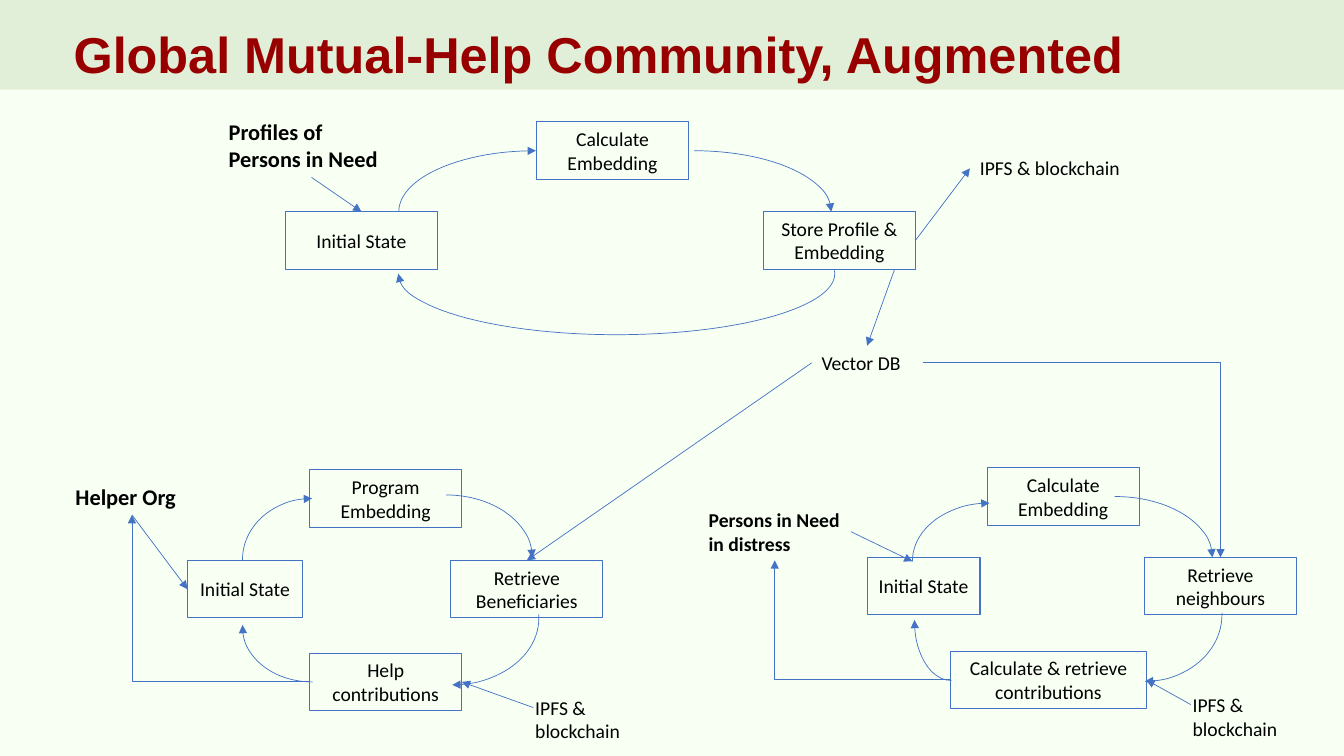
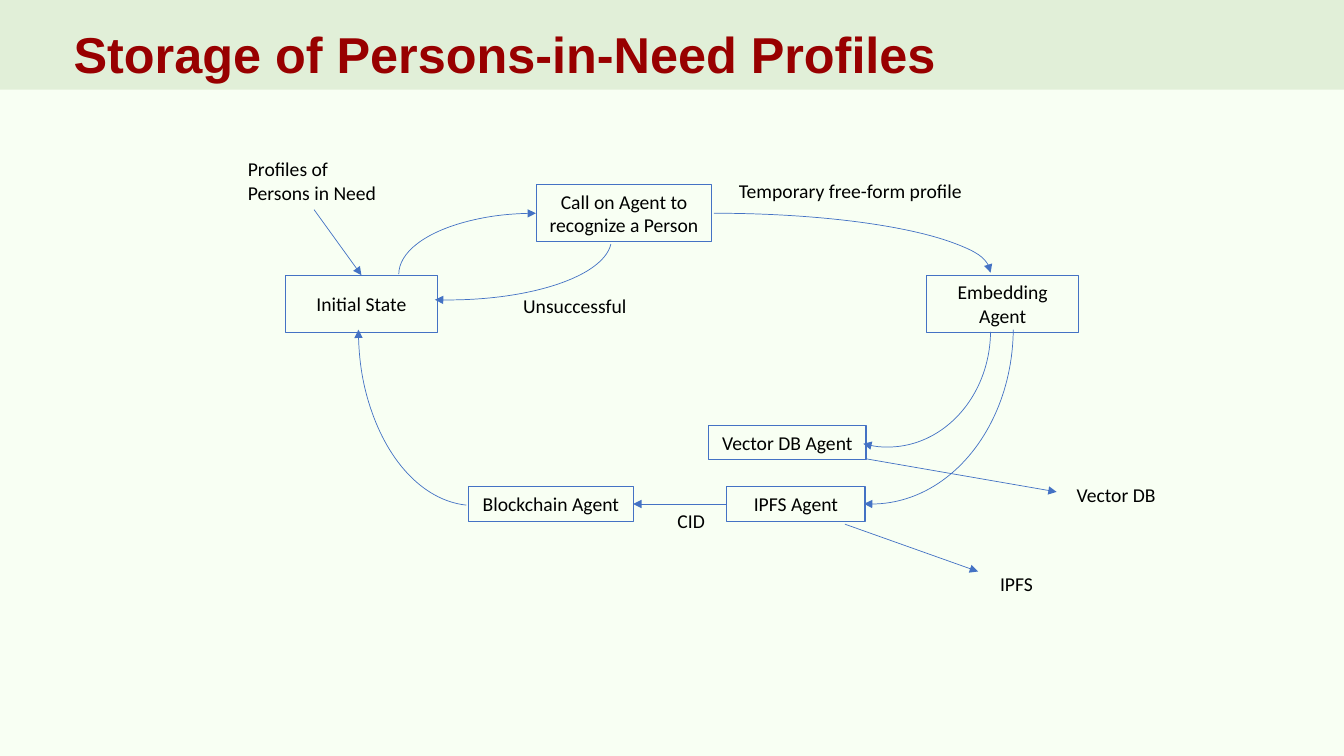
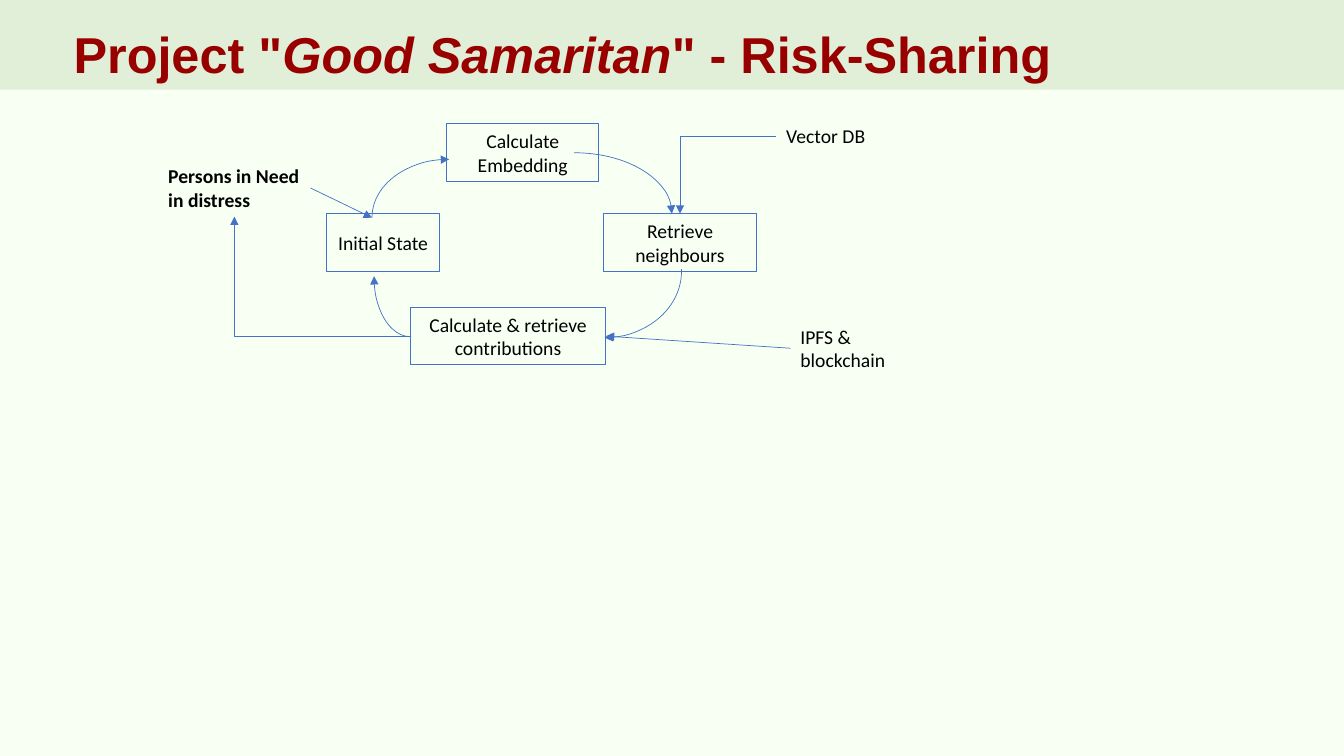
from dataclasses import dataclass
from lxml import etree
from pptx import Presentation
from pptx.dml.color import RGBColor
from pptx.enum import shapes, text
from pptx.oxml import ns
from pptx.util import Inches, Pt


@dataclass(frozen=True)
class Theme:
    page: RGBColor = RGBColor.from_string("F8FFF3")
    band: RGBColor = RGBColor.from_string("E1EFD8")
    title: RGBColor = RGBColor.from_string("980000")
    ink: RGBColor = RGBColor.from_string("000000")
    line: RGBColor = RGBColor.from_string("4472C4")
    big: float = 36
    lead: float = 16
    body: float = 14
    edge: float = 0.75
    thin: float = 0.5


theme = Theme()
TOP, LEFT, BOTTOM, RIGHT = range(4)
SPOTS = [(0.5, 0), (0, 0.5), (0.5, 1), (1, 0.5)]
HEAD = dict(name="Arial", size=Pt(theme.big), bold=True)
BODY = dict(name="Calibri", size=Pt(theme.body), bold=False)
FONTS = {
    "box": BODY,
    "note": BODY,
    "bold": BODY | dict(bold=True),
    "lead": BODY | dict(bold=True, size=Pt(theme.lead)),
}
FRAME = dict(
    vertical_anchor=text.MSO_ANCHOR.BOTTOM,
    margin_left=Inches(0.07),
    margin_right=Inches(0.07),
    margin_top=Inches(0.04),
    margin_bottom=Inches(0.04),
)


def style(item, color, values):
    for key, value in values.items():
        setattr(item, key, value)
    item.color.rgb = color


def stroke(item, width, end=None):
    style(item.line, theme.line, dict(width=Pt(width)))
    props = item._element.spPr
    if end:
        etree.SubElement(props.find(ns.qn("a:ln")), ns.qn(f"a:{end}End"), type="triangle")
    etree.SubElement(props, ns.qn("a:effectLst"))


distress = dict(
    nodes=[
        ("person", "bold", "Persons in Need in distress", 6.93, 4.99, 1.51, 0.57),
        ("start", "box", "Initial State", 8.6, 5.53, 1.12, 0.57),
        ("embed", "box", "Calculate Embedding", 9.79, 4.64, 1.51, 0.57),
        ("near", "box", "Retrieve neighbours", 11.35, 5.53, 1.51, 0.57),
        ("share", "box", "Calculate & retrieve contributions", 9.43, 6.46, 1.94, 0.57),
    ],
    arcs=[
        (9.24, 4.8, 1.15, 1.53, 270, "", 269.66, 0),
        (10.45, 4.56, 1.21, 1.94, 90, "H", 270, 0),
        (10.69, 5.33, 1.32, 1.54, 90, "H", 180.57, 271.45),
        (8.84, 5.8, 1.18, 0.72, 270, "", 179.36, 271.69),
    ],
    lines=[(("person", RIGHT), (9.05, 5.57))],
    bends=[(("share", LEFT), ("person", BOTTOM))],
)

support = dict(
    nodes=[
        ("need", "lead", "Profiles of Persons in Need", 2.17, 1.12, 1.84, 0.64),
        ("first", "box", "Initial State", 2.83, 2.1, 1.51, 0.57),
        ("calc", "box", "Calculate Embedding", 5.32, 1.21, 1.51, 0.57),
        ("store", "box", "Store Profile & Embedding", 7.57, 2.1, 1.51, 0.57),
        ("chain", "note", "IPFS & blockchain", 9.62, 1.5, 1.8, 0.34),
        ("vector", "note", "Vector DB", 8.05, 3.43, 1.1, 0.34),
        ("source", "note", "IPFS & blockchain", 11.73, 6.83, 1.09, 0.57),
        ("helper", "lead", "Helper Org", 0.65, 4.74, 1.32, 0.37),
        ("begin", "box", "Initial State", 1.86, 5.56, 1.14, 0.57),
        ("program", "box", "Program Embedding", 3.07, 4.66, 1.51, 0.57),
        ("gain", "box", "Retrieve Beneficiaries", 4.47, 5.56, 1.51, 0.57),
        ("help", "box", "Help contributions", 3.07, 6.48, 1.51, 0.57),
        ("ledger", "note", "IPFS & blockchain", 5.21, 6.85, 1.09, 0.57),
    ],
    arcs=[
        (4.71, 0.74, 1.21, 2.72, 270, "", 270, 0),
        (6.28, 0.74, 1.21, 2.72, 90, "H", 270, 0),
        (5.51, 0.55, 1.21, 4.33, 90, "V", 270, 90.88),
        (2.49, 4.86, 1.21, 1.38, 270, "", 269.66, 0),
        (3.8, 4.68, 1.25, 1.71, 90, "H", 270, 0),
        (3.82, 5.27, 1.32, 1.73, 90, "H", 180.57, 272.67),
        (2.55, 5.53, 1.09, 1.38, 270, "", 179.36, 271.69),
    ],
    lines=[
        (("need", BOTTOM), ("first", TOP)),
        (("store", RIGHT), ("chain", LEFT)),
        ((8.87, 2.68), ("vector", TOP)),
        ((11.81, 6.99), ("share", RIGHT)),
        (("helper", BOTTOM), ("begin", LEFT)),
        ((5.29, 7.02), ("help", RIGHT)),
        (("vector", LEFT), ("gain", TOP)),
    ],
    bends=[
        (("help", LEFT), ("helper", BOTTOM)),
        (("vector", RIGHT), ("near", TOP)),
    ],
)

storage = dict(
    nodes=[
        ("need", "note", "Profiles of Persons in Need", 2.36, 1.51, 1.51, 0.57),
        ("first", "box", "Initial State", 2.83, 2.73, 1.51, 0.57),
        ("call", "box", "Call on Agent to recognize a Person", 5.32, 1.83, 1.74, 0.57),
        ("embed", "box", "Embedding Agent", 9.19, 2.73, 1.51, 0.57),
        ("files", "note", "IPFS", 9.82, 5.62, 0.76, 0.34),
        ("vector", "note", "Vector DB", 10.58, 4.74, 1.8, 0.34),
        ("fail", "note", "Unsuccessful", 5.09, 2.87, 1.32, 0.34),
        ("draft", "note", "Temporary free-form profile", 7.23, 1.73, 2.47, 0.34),
        ("keeper", "box", "IPFS Agent", 7.21, 4.83, 1.37, 0.34),
        ("index", "box", "Vector DB Agent", 7.03, 4.22, 1.56, 0.34),
        ("chain", "box", "Blockchain Agent", 4.65, 4.83, 1.63, 0.34),
        ("cid", "note", "CID", 6.62, 5, 0.5, 0.34),
    ],
    arcs=[
        (4.71, 1.36, 1.21, 2.72, 270, "", 270, 0),
        (6.49, -0.04, 1.18, 5.49, 90, "H", 270, 0),
        (2.96, 2.12, 3.49, 2.3, 90, "V", 270, 357.37),
        (7.65, 2.26, 2.31, 2.04, 90, "V", 347.8, 89.35),
        (3.84, 0.75, 1.21, 3.24, 90, "V", 347.8, 88.21),
        (6.9, 1.85, 3.49, 2.81, 90, "V", 357.52, 89.35),
    ],
    lines=[
        (("need", BOTTOM), ("first", TOP)),
        ((8.38, 5.2), (9.7, 5.67)),
        ((8.58, 4.55), (10.48, 4.88)),
        (("keeper", LEFT), ("chain", RIGHT)),
    ],
    bends=[],
)

sharing = dict(
    nodes=[
        ("vector", "note", "Vector DB", 7.7, 1.18, 1.1, 0.34),
        ("source", "note", "IPFS & blockchain", 7.84, 3.17, 1.09, 0.57),
    ],
    arcs=[],
    lines=[(("source", LEFT), ("share", RIGHT))],
    bends=[(("vector", LEFT), ("near", TOP))],
)

deck = [
    ([("Global Mutual-Help Community, Augmented", False)],
     [(0, 0, distress), (0, 0, support)]),
    ([("Storage of Persons-in-Need Profiles", False)],
     [(0, 0, storage)]),
    ([('Project "', False), ("Good Samaritan", True), ('" - Risk-Sharing', False)],
     [(-5.36, -3.41, distress), (0, 0, sharing)]),
]

prs = Presentation()
prs.slide_width, prs.slide_height = Inches(13.33), Inches(7.5)
back = prs.slide_master.background.fill
back.solid()
back.fore_color.rgb = theme.page
layout = prs.slide_layouts[5]
band = None

for heading, parts in deck:
    slide = prs.slides.add_slide(layout)
    if band is None:
        band = slide.shapes.add_shape(
            shapes.MSO_SHAPE.RECTANGLE, 0, 0, prs.slide_width, Inches(0.89))
        band.shadow.inherit = False
        band.fill.solid()
        band.fill.fore_color.rgb = theme.band
        band.line.fill.background()
        layout.shapes._spTree.insert(2, band._element)

    title = slide.shapes.title
    title.left, title.top = Inches(0.66), Inches(0)
    title.width, title.height = Inches(11.76), Inches(0.87)
    for key, value in FRAME.items():
        setattr(title.text_frame, key, value)
    para = title.text_frame.paragraphs[0]
    para.alignment = text.PP_ALIGN.LEFT
    for words, slant in heading:
        run = para.add_run()
        run.text = words
        style(run.font, theme.title, HEAD | dict(italic=slant))

    nodes = {}
    for dx, dy, part in parts:
        for name, kind, words, x, y, w, h in part["nodes"]:
            place = [Inches(v) for v in (x + dx, y + dy, w, h)]
            if kind == "box":
                node = slide.shapes.add_shape(shapes.MSO_SHAPE.RECTANGLE, *place)
                node.fill.background()
                stroke(node, theme.edge)
                anchor, align = text.MSO_ANCHOR.MIDDLE, text.PP_ALIGN.CENTER
            else:
                node = slide.shapes.add_textbox(*place)
                anchor, align = text.MSO_ANCHOR.TOP, text.PP_ALIGN.LEFT
            nodes[name] = node
            frame = node.text_frame
            frame.word_wrap = True
            frame.vertical_anchor = anchor
            para = frame.paragraphs[0]
            para.alignment = align
            run = para.add_run()
            run.text = words
            style(run.font, theme.ink, FONTS[kind])

        for x, y, w, h, turn, flip, start, stop in part["arcs"]:
            place = [Inches(v) for v in (x + dx, y + dy, w, h)]
            arc = slide.shapes.add_shape(shapes.MSO_SHAPE.ARC, *place)
            arc.rotation = turn
            for i, angle in enumerate((start, stop)):
                arc.adjustments[i] = angle * 0.6
            if flip:
                arc._element.spPr.find(ns.qn("a:xfrm")).set(f"flip{flip}", "1")
            arc.fill.background()
            stroke(arc, theme.thin, "head" if turn == 90 else "tail")

        for group, form in (
            ("lines", shapes.MSO_CONNECTOR.STRAIGHT),
            ("bends", shapes.MSO_CONNECTOR.ELBOW),
        ):
            for ends in part[group]:
                spots = []
                for a, b in ends:
                    if a in nodes:
                        node, (fx, fy) = nodes[a], SPOTS[b]
                        spots += [int(node.left + node.width * fx),
                                  int(node.top + node.height * fy)]
                    else:
                        spots += [Inches(a + dx), Inches(b + dy)]
                link = slide.shapes.add_connector(form, *spots)
                if group == "bends":
                    link._element.spPr.find(ns.qn("a:prstGeom")).set("prst", "bentConnector2")
                for join, (a, b) in zip((link.begin_connect, link.end_connect), ends):
                    if a in nodes:
                        join(nodes[a], b)
                stroke(link, theme.thin, "tail")

prs.save("out.pptx")
